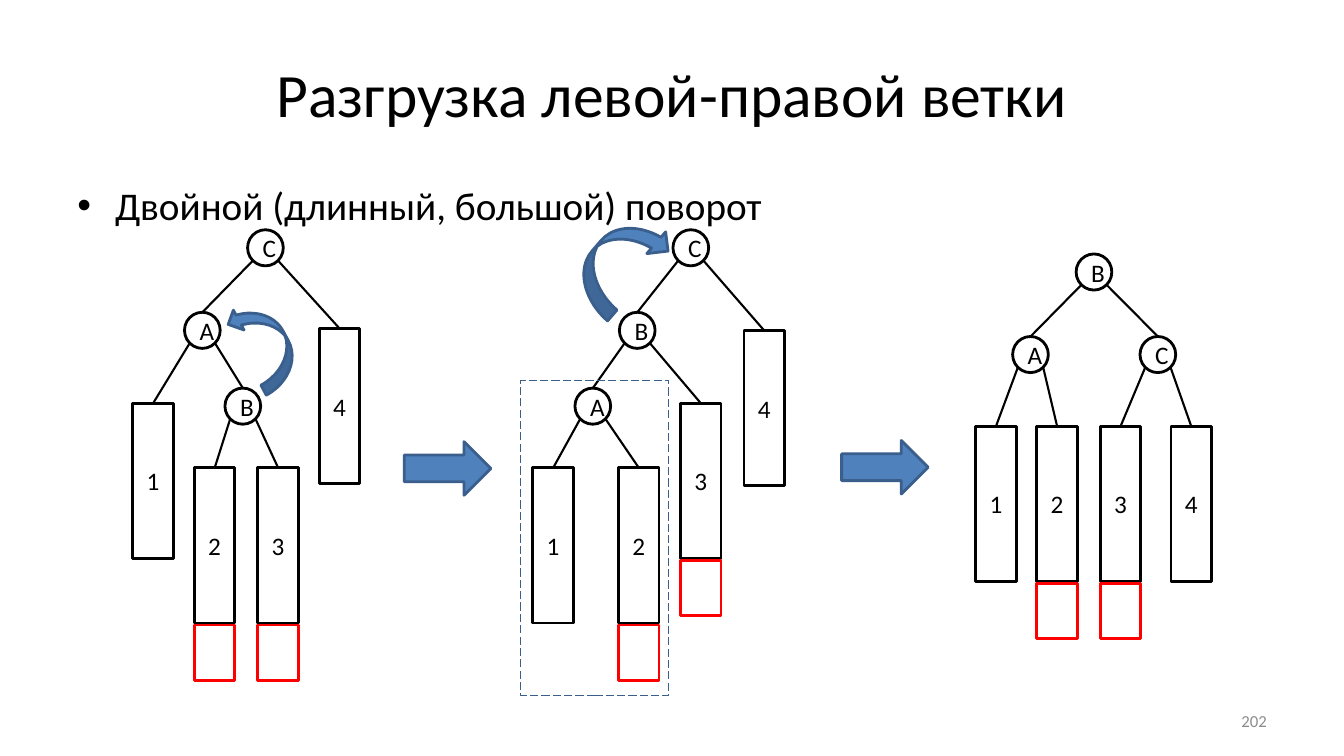
from lxml.etree import SubElement
from pptx import Presentation
from pptx.dml.color import RGBColor
from pptx.enum.dml import MSO_LINE
from pptx.enum.shapes import MSO_CONNECTOR, MSO_SHAPE
from pptx.enum.text import MSO_ANCHOR, PP_ALIGN
from pptx.oxml.ns import qn
from pptx.util import Cm, Pt

COLORS = {"black": "000000", "red": "FF0000", "blue": "4F81BD", "navy": "3A5F8C", "gray": "8C8C8C"}
NODE_WIDTH, NODE_HEIGHT = 0.9, 0.91
BRANCH_WIDTH, BRANCH_HEIGHT = 1.02, 3.91
EXTRA_OFFSET, EXTRA_HEIGHT = 3.96, 1.4
EDGE_SPREAD, EDGE_DROP = 0.32, 0.78
LONGER_BRANCHES = "23"

TREES = [
    {"C": (6.69, 5.79, "A4"), "A": (5.1, 7.87, "1B"), "B": (6.12, 9.78, "23"),
     "1": (3.86, 10.16, ""), "2": (5.41, 11.79, ""), "3": (7.01, 11.79, ""), "4": (8.56, 8.28, "")},
    {"C": (17.41, 5.79, "B4"), "B": (16.06, 7.87, "A3"), "A": (14.94, 9.78, "12"),
     "1": (13.94, 11.79, ""), "2": (16.1, 11.79, ""), "3": (17.66, 10.16, ""), "4": (19.26, 8.33, "")},
    {"B": (27.57, 6.4, "AC"), "A": (25.97, 8.48, "12"), "C": (29.18, 8.48, "34"),
     "1": (25.1, 10.74, ""), "2": (26.64, 10.74, ""), "3": (28.24, 10.74, ""), "4": (30.02, 10.74, "")},
]


class RotationSlide:
    """Draws tree rotation diagrams on one slide in a shared style."""

    def __init__(self, presentation):
        self.slide = presentation.slides.add_slide(presentation.slide_layouts[6])
        self.font = "Calibri"

    def color(self, name):
        return RGBColor.from_string(COLORS[name])

    def label(self, shape, text, size, align, anchor=MSO_ANCHOR.MIDDLE, color="black"):
        frame = shape.text_frame
        frame.text = text
        frame.word_wrap = True
        frame.vertical_anchor = anchor
        paragraph = frame.paragraphs[0]
        paragraph.alignment = align
        for run in paragraph.runs:
            run.font.name = self.font
            run.font.size = Pt(size)
            run.font.color.rgb = self.color(color)
        return paragraph

    def text(self, box, text, size, align, **style):
        shape = self.slide.shapes.add_textbox(*map(Cm, box))
        return self.label(shape, text, size, align, **style)

    def bullet(self, box, text, size):
        paragraph = self.text(box, text, size, PP_ALIGN.LEFT, anchor=MSO_ANCHOR.TOP)
        properties = paragraph._p.get_or_add_pPr()
        properties.set("marL", str(Cm(0.95)))
        properties.set("indent", str(Cm(-0.95)))
        SubElement(properties, qn("a:buFont")).set("typeface", "Arial")
        SubElement(properties, qn("a:buChar")).set("char", "•")

    def shape(self, kind, box, line="black", width=2, fill=None):
        shape = self.slide.shapes.add_shape(kind, *map(Cm, box))
        shape.shadow.inherit = False
        if fill:
            shape.fill.solid()
            shape.fill.fore_color.rgb = self.color(fill)
        else:
            shape.fill.background()
        shape.line.color.rgb = self.color(line)
        shape.line.width = Pt(width)
        return shape

    def arrow(self, kind, box, rotation=0):
        self.shape(kind, box, line="navy", fill="blue").rotation = rotation

    def dashed_frame(self, box):
        self.shape(MSO_SHAPE.RECTANGLE, box, "navy", 0.75).line.dash_style = MSO_LINE.LONG_DASH

    def edge(self, *ends):
        connector = self.slide.shapes.add_connector(MSO_CONNECTOR.STRAIGHT, *map(Cm, ends))
        connector.line.color.rgb = self.color("black")
        connector.line.width = Pt(1.5)
        SubElement(connector._element.spPr, qn("a:effectLst"))

    def node(self, name, center, top):
        box = (center - NODE_WIDTH / 2, top, NODE_WIDTH, NODE_HEIGHT)
        self.label(self.shape(MSO_SHAPE.OVAL, box), name, 18, PP_ALIGN.CENTER)

    def branch(self, name, center, top):
        left = center - BRANCH_WIDTH / 2
        box = (left, top, BRANCH_WIDTH, BRANCH_HEIGHT)
        self.label(self.shape(MSO_SHAPE.RECTANGLE, box), name, 18, PP_ALIGN.CENTER)
        if name in LONGER_BRANCHES:
            extra = (left, top + EXTRA_OFFSET, BRANCH_WIDTH, EXTRA_HEIGHT)
            self.shape(MSO_SHAPE.RECTANGLE, extra, "red")

    def tree(self, tree):
        for name, (center, top, children) in tree.items():
            for child, side in zip(children, (-1, 1)):
                child_center, child_top, _ = tree[child]
                self.edge(center + side * EDGE_SPREAD, top + EDGE_DROP, child_center, child_top)
            draw = self.branch if name.isdigit() else self.node
            draw(name, center, top)


def main():
    presentation = Presentation()
    presentation.slide_width, presentation.slide_height = Cm(33.87), Cm(19.05)
    page = RotationSlide(presentation)
    page.text((1.7, 0.76, 30.48, 3.18), "Разгрузка левой-правой ветки", 44, PP_ALIGN.CENTER)
    page.bullet((1.7, 4.45, 30.48, 12.57), "Двойной (длинный, большой) поворот", 28)
    for tree in TREES:
        page.tree(tree)
    for left, top in ((10.19, 11.13), (21.21, 11.1)):
        page.arrow(MSO_SHAPE.RIGHT_ARROW, (left, top, 2.18, 1.35))
    page.arrow(MSO_SHAPE.CURVED_UP_ARROW, (5.51, 8.1, 2.31, 1.14), 241.7)
    page.arrow(MSO_SHAPE.CURVED_DOWN_ARROW, (14.3, 5.87, 2.69, 1.45), 310.9)
    page.dashed_frame((13.13, 9.58, 3.73, 7.95))
    page.text((24.28, 17.65, 7.9, 1.02), "202", 12, PP_ALIGN.RIGHT, color="gray")
    presentation.save("out.pptx")


if __name__ == "__main__":
    main()
